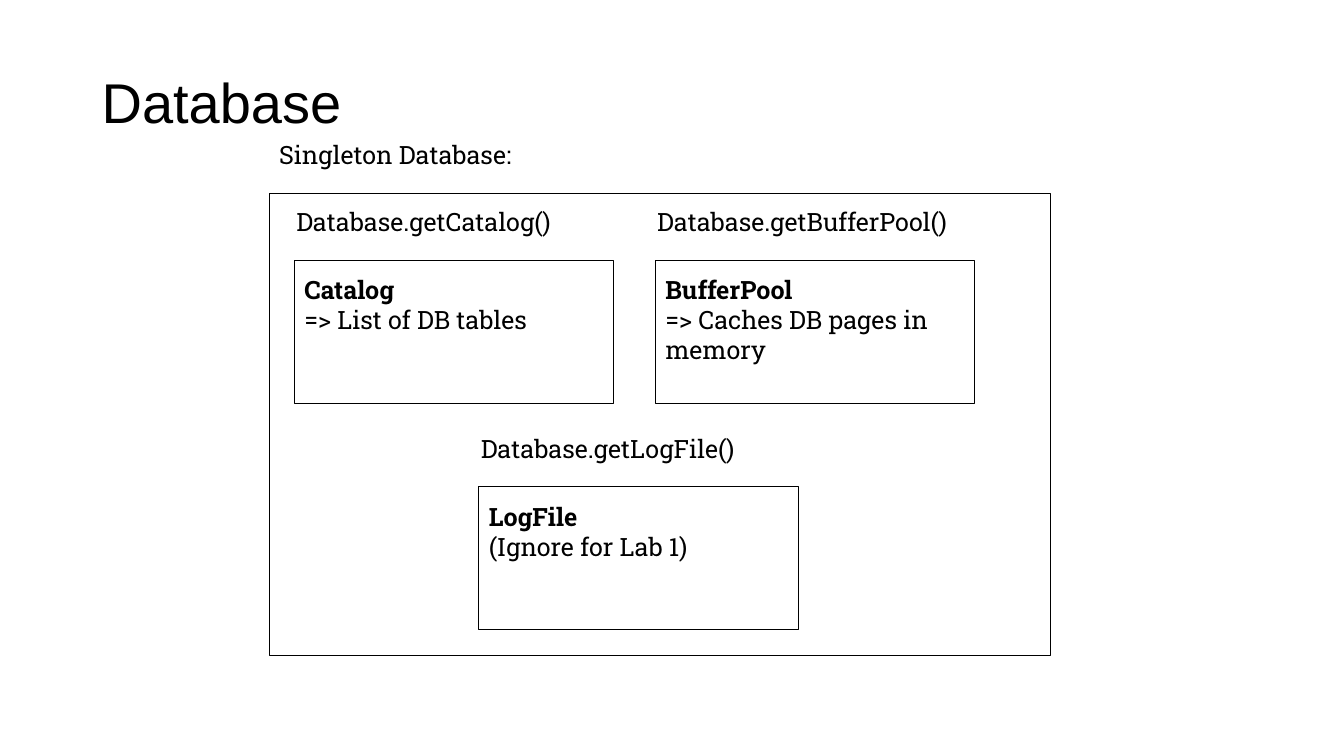
from typing import NamedTuple

from pptx import Presentation
from pptx.dml.color import RGBColor
from pptx.enum import shapes, text
from pptx.util import Inches, Pt

BLACK = RGBColor(0, 0, 0)
BODY_FONT = "Roboto Slab"
TITLE_FONT = "Arial"
COMPONENT_WIDTH, COMPONENT_HEIGHT = 3.17, 1.42


class Component(NamedTuple):
    """A part of the database, with the call that returns it."""
    left: float
    top: float
    getter: str
    name: str
    role: str


COMPONENTS = [
    Component(2.92, 2.58, "Database.getCatalog()", "Catalog", "=> List of DB tables"),
    Component(6.5, 2.58, "Database.getBufferPool()", "BufferPool",
              "=> Caches DB pages in memory"),
    Component(4.75, 4.83, "Database.getLogFile()", "LogFile", "(Ignore for Lab 1)"),
]


def add_frame(slide, left: float, top: float, width: float, height: float) -> None:
    """Draw an unfilled rectangle with a thin black outline."""
    frame = slide.shapes.add_shape(
        shapes.MSO_SHAPE.RECTANGLE,
        Inches(left), Inches(top), Inches(width), Inches(height))
    frame.shadow.inherit = False
    frame.fill.background()
    frame.line.color.rgb = BLACK
    frame.line.width = Pt(0.75)


def add_lines(slide, left: float, top: float, width: float, height: float,
              lines: list[str], size: float = 18, font: str = BODY_FONT,
              bold_first: bool = False) -> None:
    """Write one paragraph per line, the first one bold on request."""
    label = slide.shapes.add_textbox(
        Inches(left), Inches(top), Inches(width), Inches(height))
    body = label.text_frame
    body.word_wrap = True
    body.vertical_anchor = text.MSO_ANCHOR.TOP
    body.text = "\n".join(lines)
    for index, paragraph in enumerate(body.paragraphs):
        for run in paragraph.runs:
            run.font.name = font
            run.font.size = Pt(size)
            run.font.bold = bold_first and index == 0
            run.font.color.rgb = BLACK


def add_component(slide, component: Component) -> None:
    """Draw a component box with its getter above and its role inside."""
    left, top = component.left, component.top
    add_frame(slide, left, top, COMPONENT_WIDTH, COMPONENT_HEIGHT)
    add_lines(slide, left, top + 0.09, 2.92, 0.71,
              [component.name, component.role], bold_first=True)
    add_lines(slide, left - 0.08, top - 0.58, 3.75, 0.4, [component.getter])


def main() -> None:
    """Build and save the slide."""
    deck = Presentation()
    deck.slide_width, deck.slide_height = Inches(13.33), Inches(7.5)
    slide = deck.slides.add_slide(deck.slide_layouts[6])

    add_lines(slide, 0.91, 0.62, 2.8, 0.72, ["Database"], size=40, font=TITLE_FONT)
    add_lines(slide, 2.67, 1.33, 3.67, 0.4, ["Singleton Database:"])
    add_frame(slide, 2.67, 1.92, 7.75, 4.58)
    for component in COMPONENTS:
        add_component(slide, component)

    deck.save("out.pptx")


main()
